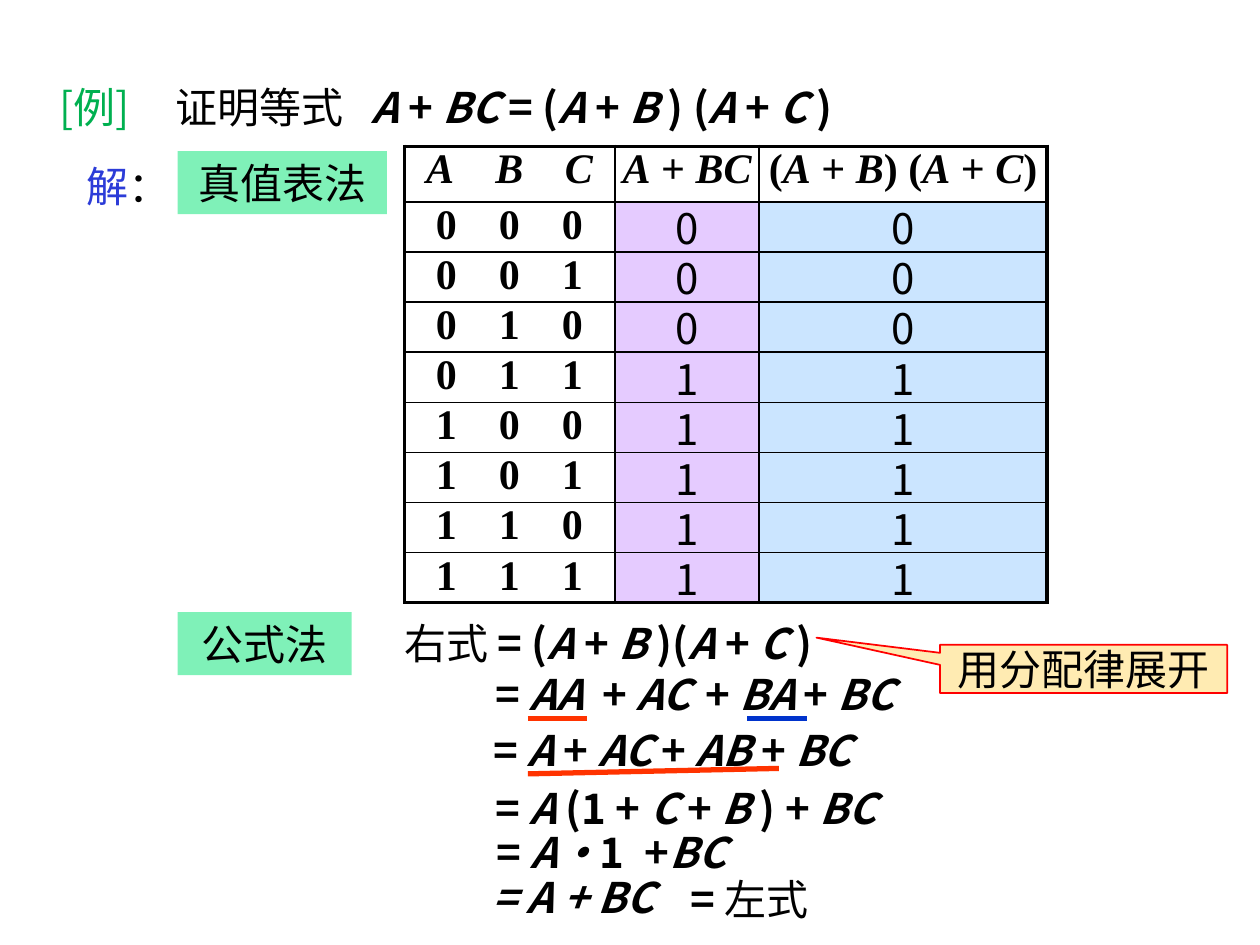
import dataclasses
import itertools

import pptx
import pptx.dml.color
import pptx.enum.shapes
import pptx.enum.text
import pptx.oxml
import pptx.oxml.ns
import pptx.util

Cm = pptx.util.Cm
Pt = pptx.util.Pt
Align = pptx.enum.text.PP_ALIGN
Anchor = pptx.enum.text.MSO_ANCHOR
Shape = pptx.enum.shapes.MSO_SHAPE
qn = pptx.oxml.ns.qn


@dataclasses.dataclass(frozen=True)
class Theme:
    body_font: str = "Noto Sans CJK SC"
    table_font: str = "Times New Roman"
    closing_font: str = "Arial"
    size: int = 24
    underline: float = 3
    thick: float = 2.25
    thin: float = 1
    black: str = "000000"
    green: str = "00B050"
    blue: str = "2C3CD8"
    label: str = "00E472"
    callout: str = "FFD966"
    callout_line: str = "FF0000"
    red_mark: str = "FF3300"
    blue_mark: str = "0033CC"
    left_side: str = "CC99FF"
    right_side: str = "99CCFF"


THEME = Theme()


def color(value):
    return pptx.dml.color.RGBColor.from_string(value)


def formula(text, **format_values):
    return [
        (part, {"bold": True, "italic": is_variable, **format_values})
        for is_variable, part in (
            (key, "".join(group))
            for key, group in itertools.groupby(text, lambda symbol: symbol in "ABC·")
        )
    ]


def plain(text, **format_values):
    return [(text, format_values)]


def add_xml(parent, tag, **attributes):
    element = pptx.oxml.parse_xml(
        f'<{tag} xmlns:a="http://schemas.openxmlformats.org/drawingml/2006/main"/>'
    )
    for name, value in attributes.items():
        element.set(name, str(value))
    parent.append(element)
    return element


class SlideBuilder:
    def __init__(self, theme, slide):
        self.theme = theme
        self.slide = slide

    def fill_text(self, frame, runs, alignment=Align.LEFT, tabs=(), tab_align="l"):
        paragraph = frame.paragraphs[0]
        if tabs:
            tab_list = add_xml(paragraph._p.get_or_add_pPr(), "a:tabLst")
            for position in tabs:
                add_xml(tab_list, "a:tab", pos=int(Cm(position)), algn=tab_align)
        paragraph.alignment = alignment
        for text, format_values in runs:
            run = paragraph.add_run()
            run.text = text
            values = {"name": self.theme.body_font, "size": Pt(self.theme.size), **format_values}
            run.font.color.rgb = color(values.pop("color", self.theme.black))
            for name, value in values.items():
                setattr(run.font, name, value)
            add_xml(run._r.get_or_add_rPr(), "a:ea", typeface=self.theme.body_font)

    def text(self, left, top, width, runs, tabs=()):
        box = self.slide.shapes.add_textbox(Cm(left), Cm(top), Cm(width), Cm(1.27))
        for name, value in {"word_wrap": True, "vertical_anchor": Anchor.MIDDLE}.items():
            setattr(box.text_frame, name, value)
        self.fill_text(box.text_frame, runs, tabs=tabs)

    def block(self, left, top, width, height, text, fill, kind=Shape.RECTANGLE, line=None):
        shape = self.slide.shapes.add_shape(kind, Cm(left), Cm(top), Cm(width), Cm(height))
        shape.shadow.inherit = False
        shape.fill.solid()
        shape.fill.fore_color.rgb = color(fill)
        add_xml(shape._element.spPr.find(".//" + qn("a:srgbClr")), "a:alpha", val=50000)
        if line:
            shape.line.color.rgb = color(line)
            shape.line.width = Pt(self.theme.thin)
        else:
            shape.line.fill.background()
        frame_values = {
            "word_wrap": True, "vertical_anchor": Anchor.MIDDLE,
            "margin_left": 0, "margin_top": 0, "margin_right": 0, "margin_bottom": 0,
        }
        for name, value in frame_values.items():
            setattr(shape.text_frame, name, value)
        self.fill_text(shape.text_frame, plain(text), Align.CENTER)
        return shape

    def callout(self, left, top, width, height, text, tip):
        shape = self.block(left, top, width, height, text, self.theme.callout,
                           Shape.RECTANGULAR_CALLOUT, self.theme.callout_line)
        for index, value in enumerate(tip):
            shape.adjustments[index] = value

    def line(self, start, end, stroke):
        connector = self.slide.shapes.add_connector(
            pptx.enum.shapes.MSO_CONNECTOR.STRAIGHT, *map(Cm, start + end))
        connector.line.color.rgb = color(stroke)
        connector.line.width = Pt(self.theme.underline)
        add_xml(connector._element.spPr, "a:effectLst")

    def border(self, cell, edges):
        properties = cell._tc.get_or_add_tcPr()
        for side, is_outer in zip("LRTB", edges):
            width = self.theme.thick if is_outer else self.theme.thin
            line = add_xml(properties, f"a:ln{side}", w=int(Pt(width)))
            add_xml(add_xml(line, "a:solidFill"), "a:srgbClr", val=self.theme.black)

    def table(self, left, top, widths, heights, contents):
        rows, columns = len(heights), len(widths)
        table = self.slide.shapes.add_table(
            rows, columns, Cm(left), Cm(top), Cm(sum(widths)), Cm(sum(heights))).table
        table.first_row = table.horz_banding = False
        for items, lengths, name in ((table.columns, widths, "width"), (table.rows, heights, "height")):
            for item, length in zip(items, lengths):
                setattr(item, name, Cm(length))
        for row, column in itertools.product(range(rows), range(columns)):
            cell = table.cell(row, column)
            for side in ("left", "top", "right", "bottom"):
                setattr(cell, f"margin_{side}", 0)
            self.border(cell, (column == 0, column == columns - 1, row == 0, row == rows - 1))
            cell.fill.background()
            if (row, column) in contents:
                self.fill_text(cell.text_frame, **contents[row, column])


def add_truth_table(builder):
    theme = builder.theme
    inputs = list(itertools.product((0, 1), repeat=3))
    for index, (a, b, c) in enumerate(inputs):
        top = 4.09 + 1.01 * index
        builder.block(15.3, top, 5.8, 1.01, str((a | b) & (a | c)), theme.right_side)
        builder.block(12.4, top, 2.9, 1.01, str(a | b & c), theme.left_side)

    font = {"name": theme.table_font}
    contents = {
        (0, 0): {"runs": formula("\tA\tB\tC", **font), "tabs": (0.71, 2.11, 3.51), "tab_align": "ctr"},
        (0, 1): {"runs": formula("A + BC", **font), "alignment": Align.CENTER},
        (0, 2): {"runs": formula("(A + B) (A + C)", **font), "alignment": Align.CENTER},
    }
    for row, values in enumerate(inputs, 1):
        contents[row, 0] = {
            "runs": formula("".join(f"\t{value}" for value in values), **font),
            "tabs": (0.84, 2.11, 3.38), "tab_align": "ctr",
        }
    builder.table(8.16, 2.95, (4.24, 2.9, 5.81), [1.12] + [1.01] * len(inputs), contents)


def add_proof(builder):
    theme = builder.theme
    builder.block(3.58, 12.34, 3.51, 1.27, "公式法", theme.label)
    builder.text(7.9, 12.32, 10.2, plain("右式 ") + formula("= (A + B )(A + C )"))
    builder.callout(18.95, 13, 5.79, 0.97, "用分配律展开", (-0.93, -0.65))
    for left, term in ((9.73, "= AA"), (11.89, "+ AC"), (13.97, "+ BA"), (15.95, "+ BC")):
        builder.text(left, 13.34, 3.2, formula(term))
    builder.text(9.69, 14.48, 9.6, formula("= A + AC + AB + BC"))
    builder.text(9.73, 15.65, 11.28, formula("= A (1 + C + B ) + BC"))
    builder.text(9.75, 16.54, 7.29, formula("= A·1\t+BC"), tabs=(3,))
    builder.text(9.68, 17.45, 4.45, plain("= A + BC", bold=True, italic=True))
    builder.text(13.67, 17.48, 4.45, formula("= ") + plain("左式", name=theme.closing_font))
    builder.line((10.64, 14.48), (11.84, 14.48), theme.red_mark)
    builder.line((15.06, 14.48), (16.26, 14.48), theme.blue_mark)
    builder.line((10.64, 15.6), (15.7, 15.49), theme.red_mark)


def main():
    presentation = pptx.Presentation()
    presentation.slide_width = Cm(25.4)
    presentation.slide_height = Cm(19.05)
    slide = presentation.slides.add_slide(presentation.slide_layouts[6])
    builder = SlideBuilder(THEME, slide)

    add_truth_table(builder)
    title = plain("[例]", color=THEME.green) + plain("\t证明等式\t")
    builder.text(0.95, 1.52, 18, title + formula("A + BC = (A + B ) (A + C )"), tabs=(2.34, 6.3))
    builder.text(1.5, 3.1, 3.18, plain("解", color=THEME.blue) + plain("："))
    builder.block(3.58, 3.05, 4.22, 1.27, "真值表法", THEME.label)
    add_proof(builder)
    presentation.save("out.pptx")


if __name__ == "__main__":
    main()
